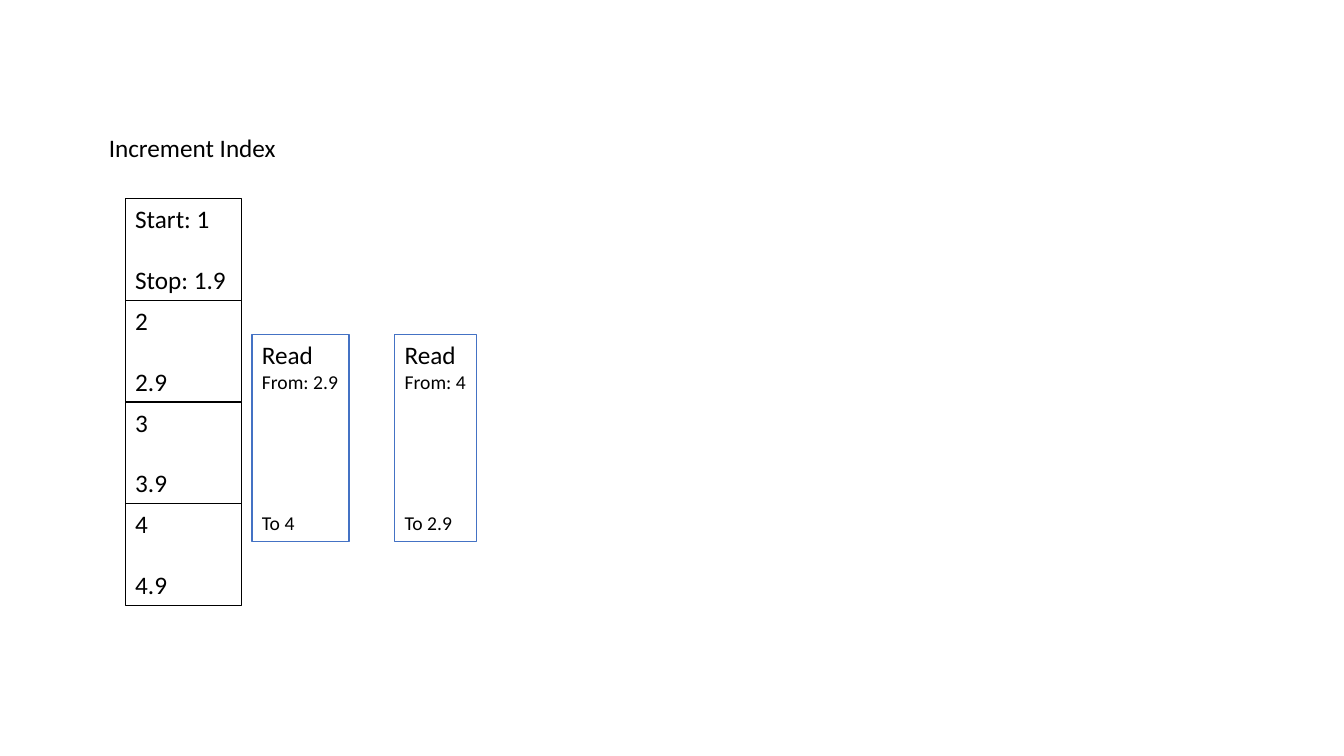
from pptx import Presentation
from pptx.dml.color import RGBColor
from pptx.enum.shapes import MSO_SHAPE
from pptx.enum.text import MSO_ANCHOR, MSO_AUTO_SIZE, PP_ALIGN
from pptx.util import Pt

COLORS = {"ink": "000000", "read": "4472C4"}
FONT = "Calibri"
BIG, SMALL = 18, 14
STEP = 72.72


def color(name):
    return RGBColor.from_string(COLORS[name])


def write(shape, lines, wrap):
    frame = shape.text_frame
    frame.word_wrap = wrap
    frame.auto_size = MSO_AUTO_SIZE.SHAPE_TO_FIT_TEXT
    frame.vertical_anchor = MSO_ANCHOR.TOP
    for i, (text, size, gap) in enumerate(lines):
        para = frame.paragraphs[0] if i == 0 else frame.add_paragraph()
        para.alignment = PP_ALIGN.LEFT
        para.space_before = Pt(gap)
        run = para.add_run()
        run.text = text
        run.font.name = FONT
        run.font.size = Pt(size)
        run.font.color.rgb = color("ink")


def add_box(slide, left, top, width, height, line, lines, wrap):
    box = slide.shapes.add_shape(
        MSO_SHAPE.RECTANGLE, Pt(left), Pt(top), Pt(width), Pt(height))
    box.shadow.inherit = False
    box.fill.background()
    box.line.color.rgb = color(line)
    box.line.width = Pt(0.75)
    write(box, lines, wrap)


def add_block(slide, row, start, stop):
    lines = [(start, BIG, 0), (stop, BIG, 21.8)]
    add_box(slide, 89.5, 141.7 + row * STEP, 82.9, STEP, "ink", lines, True)


def add_read(slide, left, width, start, stop):
    lines = [("Read", BIG, 0), (start, SMALL, 0), (stop, SMALL, 84)]
    add_box(slide, left, 238.9, width, 147.8, "read", lines, False)


def add_label(slide, text):
    label = slide.shapes.add_textbox(Pt(70.6), Pt(90.7), Pt(135.4), Pt(29))
    write(label, [(text, BIG, 0)], False)


def main():
    deck = Presentation()
    deck.slide_width, deck.slide_height = Pt(960), Pt(540)
    slide = deck.slides.add_slide(deck.slide_layouts[6])
    blocks = [("Start: 1", "Stop: 1.9"), ("2", "2.9"), ("3", "3.9"), ("4", "4.9")]
    for row, (start, stop) in enumerate(blocks):
        add_block(slide, row, start, stop)
    add_label(slide, "Increment Index")
    add_read(slide, 180, 69.3, "From: 2.9", "To 4")
    add_read(slide, 282, 58.5, "From: 4", "To 2.9")
    deck.save("out.pptx")


if __name__ == "__main__":
    main()
